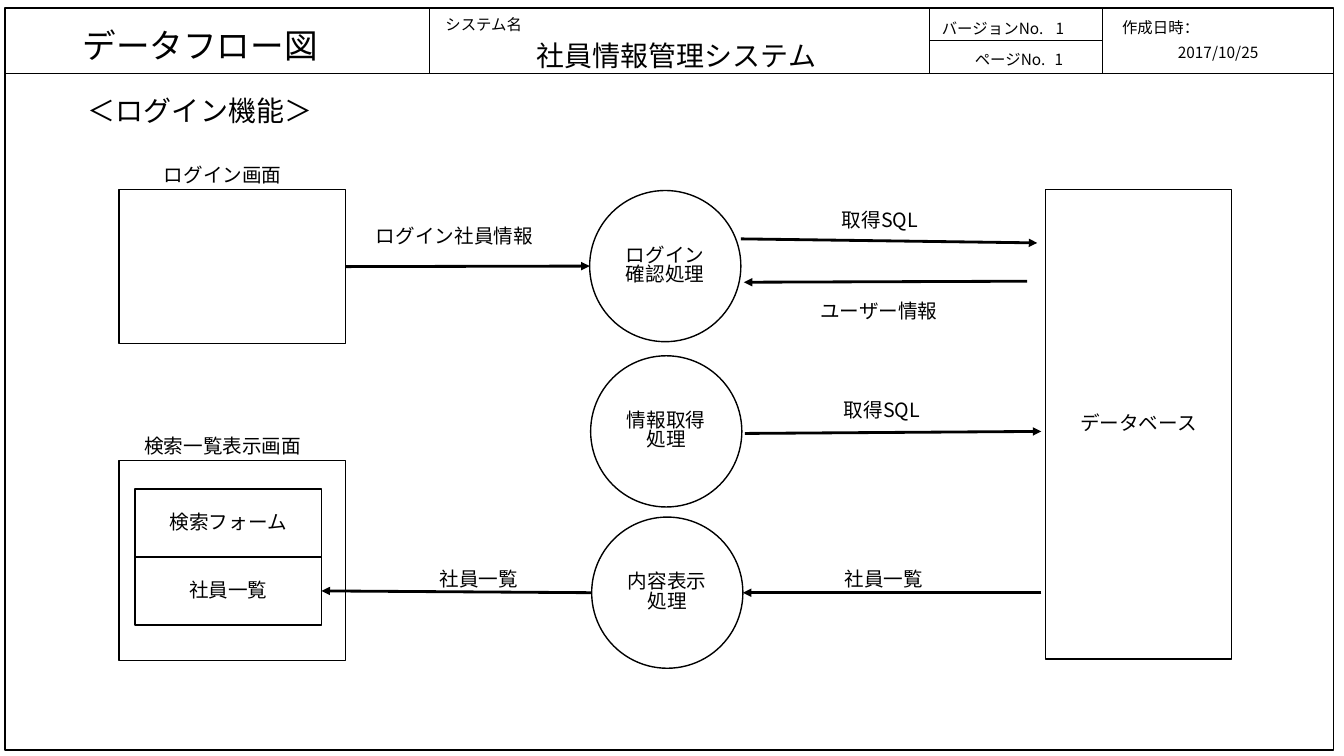
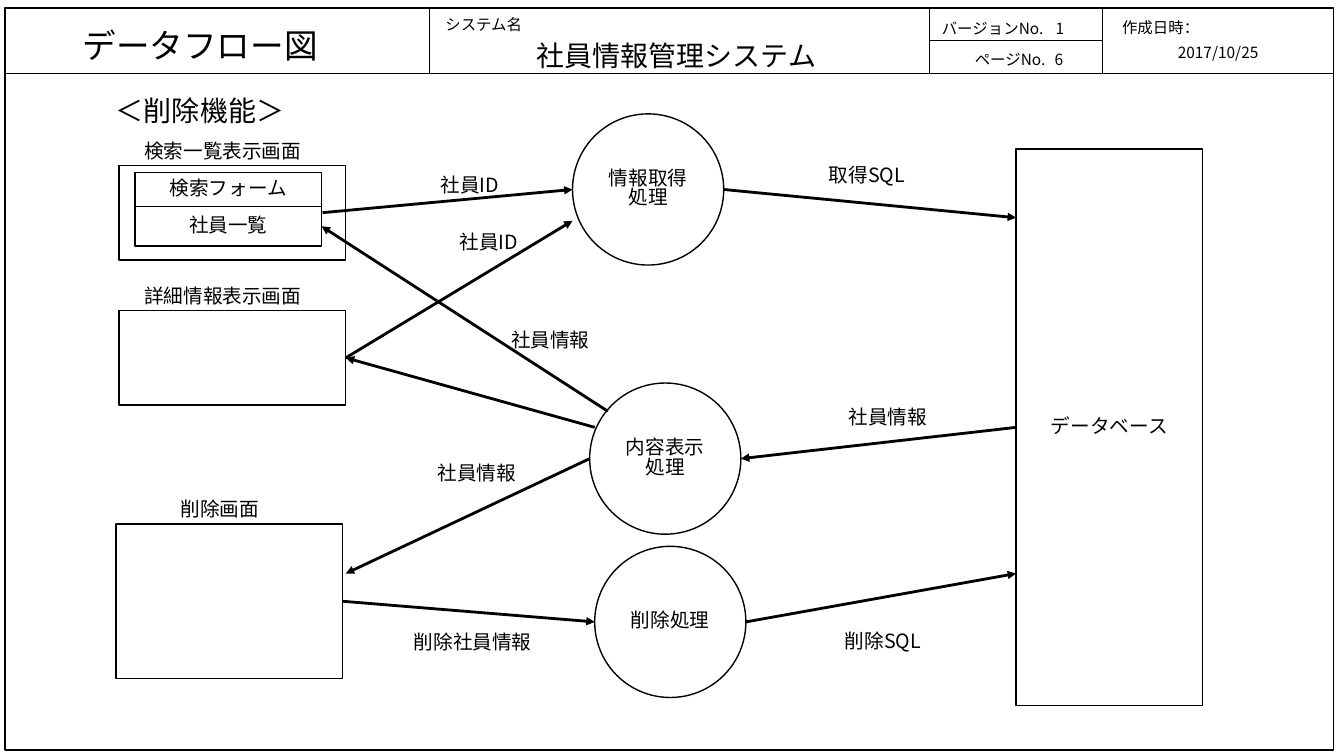
from typing import NamedTuple

from lxml.etree import SubElement
from pptx import Presentation
from pptx.dml.color import RGBColor
from pptx.enum.shapes import MSO_CONNECTOR, MSO_SHAPE
from pptx.enum.text import MSO_ANCHOR as Anchor, PP_ALIGN as Align
from pptx.oxml.ns import qn
from pptx.shapes.autoshape import Shape
from pptx.util import Inches, Pt

BLACK = RGBColor(0x00, 0x00, 0x00)
WHITE = RGBColor(0xFF, 0xFF, 0xFF)
FONT = "Noto Sans CJK JP"

# The grid has ten columns and ten rows to the inch.
COLUMNS, ROWS = 133.33, 75
LEFT, RIGHT = 1, 3
CIRCLE_SIZE = 15


def grid(count):
    return Inches(count / 10)


class Box(NamedTuple):
    """A box in grid columns and rows."""
    left: float
    top: float
    width: float
    height: float

    def inner(self, left, top, width=0, height=0):
        """Return a box given relative to this one."""
        return Box(self.left + left, self.top + top, width, height)

    def lengths(self):
        return [grid(length) for length in self]


SHEET = Box(0.5, 0.8, 131.8, 73.6)
HEADER = Box(*SHEET[:3], 6.5)
BODY = SHEET.inner(0, HEADER.height, SHEET.width, SHEET.height - HEADER.height)


def set_values(target, values):
    for name, value in values.items():
        setattr(target, name, value)


def write(shape, text, size=14, align=Align.CENTER, anchor=Anchor.MIDDLE, spacing=0.9):
    frame = shape.text_frame
    set_values(frame, {"text": text, "word_wrap": True, "vertical_anchor": anchor})
    for paragraph in frame.paragraphs:
        set_values(paragraph, {"alignment": align, "line_spacing": spacing})
        for run in paragraph.runs:
            set_values(run.font, {"size": Pt(size), "name": FONT})
            run.font.color.rgb = BLACK
            east_asian = SubElement(run.font._element, qn("a:ea"))
            east_asian.set("typeface", FONT)


def add_text(slide, box, text, **style):
    write(slide.shapes.add_textbox(*box.lengths()), text, **style)


def add_outline(slide, box, kind=MSO_SHAPE.RECTANGLE, fill=None):
    shape = slide.shapes.add_shape(kind, *box.lengths())
    shape.shadow.inherit = False
    if fill is None:
        shape.fill.background()
    else:
        shape.fill.solid()
        shape.fill.fore_color.rgb = fill
    shape.line.color.rgb = BLACK
    shape.line.width = Pt(1)
    return shape


def add_store(slide, box, text):
    """Add a filled rectangle with its name inside."""
    shape = add_outline(slide, box, fill=WHITE)
    write(shape, text)
    return shape


def add_process(slide, area, left, top, text):
    box = area.inner(left, top, CIRCLE_SIZE, CIRCLE_SIZE)
    circle = add_outline(slide, box, MSO_SHAPE.OVAL)
    write(circle, text, spacing=0.82)
    return circle


def add_screen(slide, box, caption, first_row=0, rows=()):
    """Add a captioned frame with stacked rows; return the frame and the rows."""
    row_shapes = []
    top = first_row
    for text, height in rows:
        row_shapes.append(add_store(slide, box.inner(1.6, top, 18.5, height), text))
        top += height
    frame = add_outline(slide, box)
    add_text(slide, box.inner(-0.8, -3.2, 22.2, 3.7), caption)
    return [frame, *row_shapes]


def end_point(area, end):
    """Turn a grid point, or a shape and its side, into a position."""
    first, second = end
    if isinstance(first, Shape):
        left = first.left + (first.width if second == RIGHT else 0)
        return left, first.top + first.height // 2
    return area.inner(first, second).lengths()[:2]


def is_rectangle_side(end):
    return isinstance(end[0], Shape) and end[0].auto_shape_type == MSO_SHAPE.RECTANGLE


def add_arrows(slide, area, arrows):
    for start, end in arrows:
        arrow = slide.shapes.add_connector(
            MSO_CONNECTOR.STRAIGHT, *end_point(area, start), *end_point(area, end))
        if is_rectangle_side(start):
            arrow.begin_connect(*start)
        if is_rectangle_side(end):
            arrow.end_connect(*end)
        arrow.line.color.rgb = BLACK
        arrow.line.width = Pt(2)
        properties = arrow._element.spPr
        SubElement(properties.get_or_add_ln(), qn("a:tailEnd")).set("type", "triangle")
        SubElement(properties, qn("a:effectLst"))


def add_flow_labels(slide, area, labels):
    """Add labels centred on the given points."""
    width, height = 18.3, 3.7
    for x, y, text in labels:
        add_text(slide, area.inner(x - width / 2, y - height / 2, width, height), text)


def add_header(slide, box, page):
    title_edge, system_edge, number_edge = 42.1, 91.7, 108.9
    half = box.height / 2
    cells = [
        (0, 0, title_edge, box.height),
        (title_edge, 0, system_edge - title_edge, box.height),
        (system_edge, 0, number_edge - system_edge, half),
        (system_edge, half, number_edge - system_edge, half),
        (number_edge, 0, box.width - number_edge, box.height),
    ]
    for cell in cells:
        add_outline(slide, box.inner(*cell))

    add_text(slide, box.inner(39.7, 2.8, 53.8, 4.1), "社員情報管理システム", size=20)
    add_text(slide, box.inner(4.9, 1.6, 28.9, 4.9), "データフロー図", size=24, anchor=Anchor.TOP)
    small_texts = [
        ((41.3, 0.4, 12.4, 4.9), "システム名", Align.CENTER),
        ((88.9, 0.8, 15.1, 2.9), "バージョンNo.", Align.RIGHT),
        ((91.7, 3.9, 12.5, 2.7), "ページNo.", Align.RIGHT),
        ((102.9, 0.8, 3.5, 3), "1", Align.CENTER),
        ((102.8, 3.9, 3.5, 3), page, Align.CENTER),
        ((108, 0.7, 13.3, 2.4), "作成日時：", Align.CENTER),
        ((110.1, 3.2, 20.5, 2.3), "2017/10/25", Align.CENTER),
    ]
    for place, text, align in small_texts:
        add_text(slide, box.inner(*place), text, size=11, align=align, anchor=Anchor.TOP)


def draw_login_flow(slide, area):
    login, = add_screen(slide, area.inner(11.3, 11.5, 22.5, 15.3), "ログイン画面")
    _, _, employees = add_screen(
        slide, area.inner(11.3, 38.4, 22.5, 19.8), "検索一覧表示画面",
        2.8, [("検索フォーム", 6.75), ("社員一覧", 6.75)])
    check = add_process(slide, area, 58, 11.6, "ログイン確認処理")
    add_process(slide, area, 58.1, 28, "情報取得処理")
    display = add_process(slide, area, 58.2, 44, "内容表示\v処理")
    add_store(slide, area.inner(103.2, 11.5, 18.5, 46.6), "データベース")
    add_arrows(slide, area, [
        ((login, RIGHT), (check, LEFT)),
        ((73, 16.4), (102.4, 16.8)),
        ((101.4, 20.6), (73.3, 20.7)),
        ((73.4, 35.7), (102.8, 35.5)),
        ((102.8, 51.5), (display, RIGHT)),
        ((display, LEFT), (employees, RIGHT)),
    ])
    add_flow_labels(slide, area, [
        (44.6, 16.2, "ログイン社員情報"),
        (86.8, 14.6, "取得SQL"),
        (86.7, 23.7, "ユーザー情報"),
        (87, 33.5, "取得SQL"),
        (87.2, 50.3, "社員一覧"),
        (47, 50.3, "社員一覧"),
    ])


def draw_delete_flow(slide, area):
    _, _, employees = add_screen(
        slide, area.inner(11.3, 9.1, 22.5, 9.4), "検索一覧表示画面",
        0.7, [("検索フォーム", 3.4), ("社員一覧", 3.9)])
    detail, = add_screen(slide, area.inner(11.3, 23.5, 22.5, 9.4), "詳細情報表示画面")
    deletion, = add_screen(slide, area.inner(11, 44.7, 22.5, 15.3), "削除画面")
    fetch = add_process(slide, area, 56.3, 4, "情報取得処理")
    display = add_process(slide, area, 58, 30.7, "内容表示\v処理")
    delete = add_process(slide, area, 58.5, 46.9, "削除処理")
    database = add_store(slide, area.inner(100.3, 7.5, 18.5, 55.2), "データベース")
    add_arrows(slide, area, [
        ((31.5, 13.8), (fetch, LEFT)),
        ((detail, RIGHT), (56.3, 14.6)),
        ((fetch, RIGHT), (100.3, 14.3)),
        ((database, LEFT), (display, RIGHT)),
        ((59.8, 33.5), (employees, RIGHT)),
        ((58.5, 35.1), (detail, RIGHT)),
        ((display, LEFT), (33.8, 49.6)),
        ((deletion, RIGHT), (delete, LEFT)),
        ((delete, RIGHT), (100.3, 49.6)),
    ])
    add_flow_labels(slide, area, [
        (46.1, 11.2, "社員ID"),
        (48, 16.8, "社員ID"),
        (85.5, 10.2, "取得SQL"),
        (87.6, 34.2, "社員情報"),
        (54.1, 26.5, "社員情報"),
        (46.8, 39.7, "社員情報"),
        (46.4, 56.5, "削除社員情報"),
        (87.1, 56.4, "削除SQL"),
    ])


def add_flow_slide(presentation, heading, page, draw_flow):
    slide = presentation.slides.add_slide(presentation.slide_layouts[6])
    add_header(slide, HEADER, page)
    add_outline(slide, BODY)
    add_text(slide, BODY.inner(0.1, 0.2, 38.5, 7.3), heading, size=20)
    draw_flow(slide, BODY)


def main():
    presentation = Presentation()
    presentation.slide_width = grid(COLUMNS)
    presentation.slide_height = grid(ROWS)
    add_flow_slide(presentation, "＜ログイン機能＞", "1", draw_login_flow)
    add_flow_slide(presentation, "＜削除機能＞", "6", draw_delete_flow)
    presentation.save("out.pptx")


if __name__ == "__main__":
    main()
